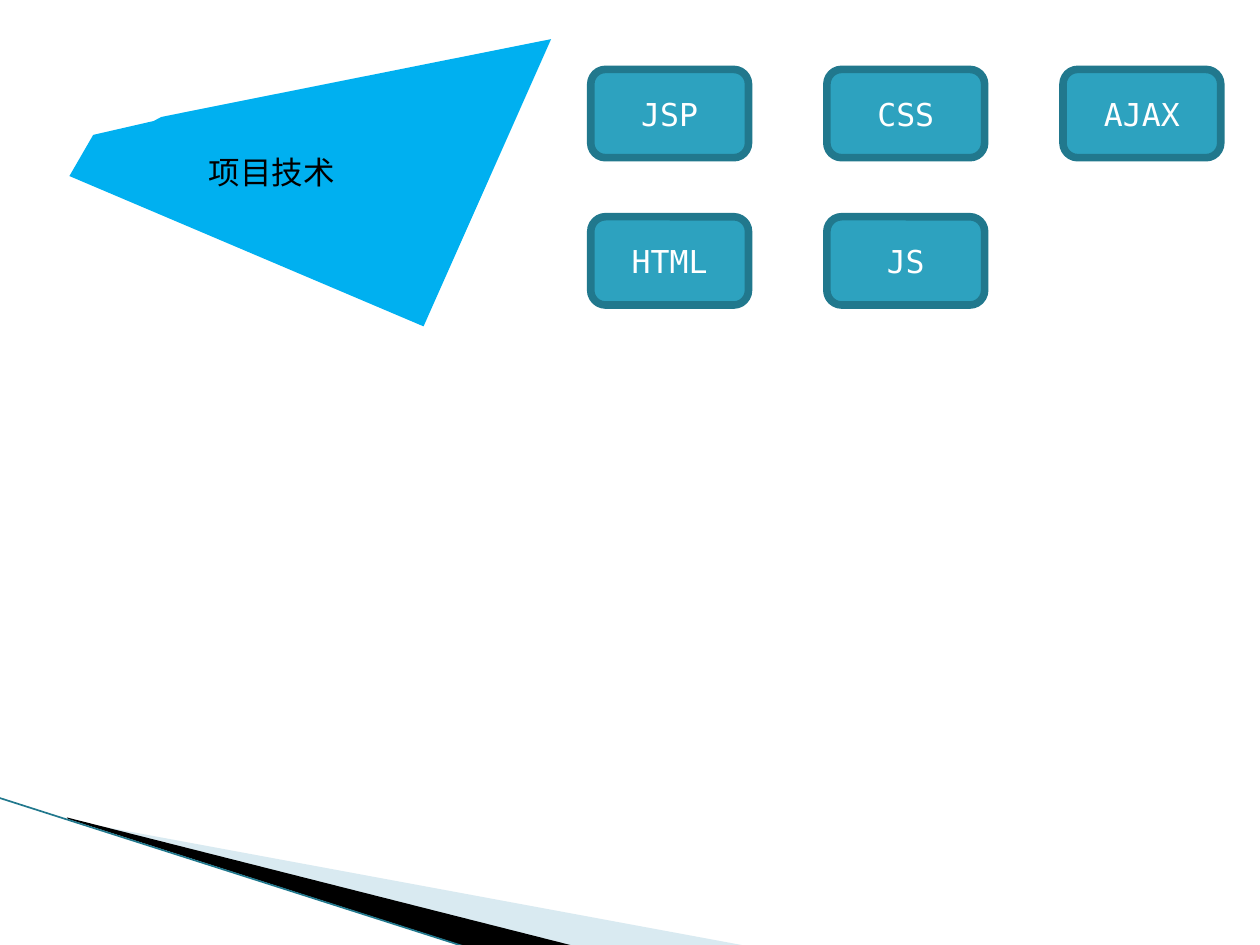
"""Build the project technology slide."""
from lxml.etree import SubElement
from pptx import Presentation
from pptx.dml.color import RGBColor
from pptx.enum.shapes import MSO_CONNECTOR as Connector, MSO_SHAPE as Shape
from pptx.enum.text import MSO_ANCHOR as Anchor, MSO_AUTO_SIZE as AutoSize, PP_ALIGN as Align
from pptx.oxml.ns import qn
from pptx.util import Cm, Pt

BLACK = RGBColor(0x00, 0x00, 0x00)
WHITE = RGBColor(0xFF, 0xFF, 0xFF)
PALE_BLUE = RGBColor(0xA0, 0xCB, 0xDC)
SKY_BLUE = RGBColor(0x00, 0xB0, 0xF0)
TEAL = RGBColor(0x2D, 0xA2, 0xBF)
DARK_TEAL = RGBColor(0x21, 0x78, 0x8D)
FONT = "DejaVu Sans Mono"

PALE_WEDGE = [(1.4, 16.54), (15.11, 19.08), (11.58, 19.08), (1.4, 16.51)]
BLACK_WEDGE = [(1.35, 16.48), (11.61, 19.08), (9.45, 19.1), (1.37, 16.51)]
BANNER = [(3.25, 2.36), (3.99, 2.21), (11.11, 0.79), (8.54, 6.58),
          (1.4, 3.55), (1.88, 2.72), (3.1, 2.44)]
TECHNOLOGIES = [["JSP", "CSS", "AJAX"], ["HTML", "JS"]]


def add_polygon(slide, points, color, opacity=100):
    corners = [(Cm(x), Cm(y)) for x, y in points]
    builder = slide.shapes.build_freeform(*corners[0])
    builder.add_line_segments(corners[1:], close=True)
    polygon = builder.convert_to_shape()
    polygon.shadow.inherit = False
    polygon.fill.solid()
    polygon.fill.fore_color.rgb = color
    polygon.line.fill.background()
    if opacity < 100:
        color_element = polygon.element.spPr.find(f".//{qn('a:srgbClr')}")
        SubElement(color_element, qn("a:alpha"), val=str(opacity * 1000))


def add_edge_line(slide, start, end):
    ends = [Cm(value) for value in (*start, *end)]
    connector = slide.shapes.add_connector(Connector.STRAIGHT, *ends)
    connector.line.color.rgb = DARK_TEAL
    connector.line.width = Pt(0.95)
    SubElement(connector.element.spPr, qn("a:effectLst"))


def write_text(text_frame, text, color, alignment):
    text_frame.text = text
    paragraph = text_frame.paragraphs[0]
    paragraph.alignment = alignment
    font = paragraph.runs[0].font
    font.name, font.size = FONT, Pt(18)
    font.color.rgb = color


def add_label(slide, text, left, top, width, height):
    label = slide.shapes.add_textbox(Cm(left), Cm(top), Cm(width), Cm(height))
    label.text_frame.word_wrap = True
    label.text_frame.auto_size = AutoSize.SHAPE_TO_FIT_TEXT
    write_text(label.text_frame, text, BLACK, Align.LEFT)


def add_card(slide, text, left, top):
    card = slide.shapes.add_shape(
        Shape.ROUNDED_RECTANGLE, Cm(left), Cm(top), Cm(3.18), Cm(1.78))
    card.shadow.inherit = False
    card.fill.solid()
    card.fill.fore_color.rgb = TEAL
    card.line.color.rgb = DARK_TEAL
    card.line.width = Pt(4.33)
    card.text_frame.vertical_anchor = Anchor.MIDDLE
    write_text(card.text_frame, text, WHITE, Align.CENTER)


def main():
    presentation = Presentation()
    presentation.slide_width, presentation.slide_height = Cm(25.4), Cm(19.05)
    slide = presentation.slides.add_slide(presentation.slide_layouts[6])
    add_polygon(slide, PALE_WEDGE, PALE_BLUE, opacity=40)
    add_polygon(slide, BLACK_WEDGE, BLACK)
    add_edge_line(slide, (-0.03, 16.08), (9.42, 19.1))
    add_polygon(slide, BANNER, SKY_BLUE)
    add_label(slide, "项目技术", 3.96, 2.97, 4.57, 1.02)
    for row, names in enumerate(TECHNOLOGIES):
        for column, name in enumerate(names):
            add_card(slide, name, 11.91 + column * 4.76, 1.4 + row * 2.97)
    presentation.save("out.pptx")


if __name__ == "__main__":
    main()
